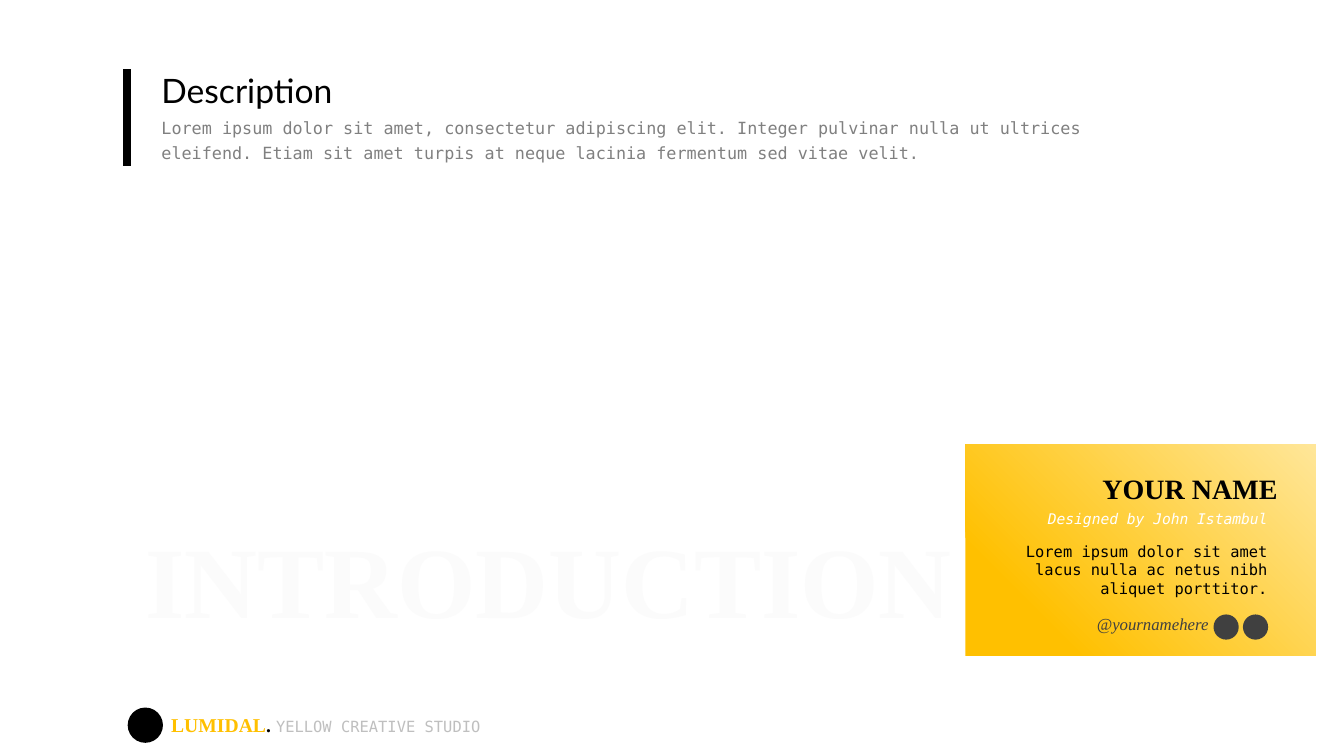
from lxml import etree
from pptx import Presentation
from pptx.dml.color import RGBColor
from pptx.enum.shapes import MSO_CONNECTOR, MSO_SHAPE
from pptx.enum.text import MSO_ANCHOR, MSO_AUTO_SIZE, PP_ALIGN
from pptx.oxml.ns import qn
from pptx.util import Pt

TITLE_ONLY = 5
LEFT, RIGHT = PP_ALIGN.LEFT, PP_ALIGN.RIGHT
TOP, MIDDLE = MSO_ANCHOR.TOP, MSO_ANCHOR.MIDDLE
NO_AUTOFIT = MSO_AUTO_SIZE.NONE
RECTANGLE, OVAL = MSO_SHAPE.RECTANGLE, MSO_SHAPE.OVAL
STRAIGHT = MSO_CONNECTOR.STRAIGHT

SANS, MONO, SERIF = "Lato", "DejaVu Sans Mono", "Times New Roman"
BLACK, WHITE, YELLOW, PALE_YELLOW = "000000", "FFFFFF", "FFC000", "FFE699"
DARK, GREY, SILVER, FAINT = "404040", "808080", "BFBFBF", "FBFBFB"


def color(hex_string):
    return RGBColor.from_string(hex_string)


def write(shape, runs, align=LEFT, anchor=TOP, spacing=1.0, inset=(0, 0)):
    """Fill a shape with one paragraph of (text, font, size, colour, bold, italic) runs."""
    frame = shape.text_frame
    frame.word_wrap = True
    frame.auto_size = NO_AUTOFIT
    frame.vertical_anchor = anchor
    frame.margin_left = frame.margin_right = Pt(inset[0])
    frame.margin_top = frame.margin_bottom = Pt(inset[1])
    paragraph = frame.paragraphs[0]
    paragraph.alignment = align
    paragraph.line_spacing = spacing
    paragraph.space_before = Pt(0)
    for text, font, size, hex_string, bold, italic in runs:
        run = paragraph.add_run()
        run.text = text
        run.font.name = font
        run.font.size = Pt(size)
        run.font.color.rgb = color(hex_string)
        run.font.bold = bold
        run.font.italic = italic


def add_text(slide, left, top, width, height, runs, **options):
    box = slide.shapes.add_textbox(Pt(left), Pt(top), Pt(width), Pt(height))
    write(box, runs, **options)


def add_plain_shape(slide, kind, left, top, width, height, fill):
    shape = slide.shapes.add_shape(kind, Pt(left), Pt(top), Pt(width), Pt(height))
    shape.shadow.inherit = False
    shape.line.fill.background()
    shape.fill.solid()
    shape.fill.fore_color.rgb = color(fill)
    return shape


def add_description(slide, left, top, width, height):
    rule = slide.shapes.add_connector(STRAIGHT, Pt(left), Pt(top), Pt(left), Pt(top + height))
    rule.line.color.rgb = color(BLACK)
    rule.line.width = Pt(6)
    etree.SubElement(rule._element.spPr, qn("a:effectLst"))

    text_left, text_width = left + 24.5, width - 24.5
    title = slide.shapes.title
    title.left, title.top = Pt(text_left), Pt(top - 5.5)
    title.width, title.height = Pt(text_width), Pt(35)
    write(title, [("Description", SANS, 24, BLACK, False, False)], spacing=1.2)
    body = ("Lorem ipsum dolor sit amet, consectetur adipiscing elit. Integer pulvinar "
            "nulla ut ultrices eleifend. Etiam sit amet turpis at neque lacinia "
            "fermentum sed vitae velit.")
    add_text(slide, text_left, top + 32, text_width, 36,
             [(body, MONO, 12, GREY, False, False)], spacing=1.2)


def add_background_word(slide, left, top, width, height):
    add_text(slide, left, top, width, height,
             [("INTRODUCTION", SERIF, 72, FAINT, True, False)])


def add_name_card(slide, left, top, width, height):
    card = add_plain_shape(slide, RECTANGLE, left, top, width, height, YELLOW)
    card.fill.gradient()
    card.fill.gradient_angle = 45
    stops = zip(card.fill.gradient_stops, ((0.2, YELLOW), (1, PALE_YELLOW)))
    for stop, (position, hex_string) in stops:
        stop.position = position
        stop.color.rgb = color(hex_string)

    column, column_width = left + 24.5, 198.7
    padding = (7.2, 3.6)
    add_text(slide, column, top + 66.2, column_width, 47.5,
             [("Lorem ipsum dolor sit amet lacus nulla ac netus nibh aliquet porttitor.",
               MONO, 11, BLACK, False, False)], align=RIGHT, inset=padding)
    add_text(slide, column, top + 19.5, column_width, 24.5,
             [("YOUR NAME", SERIF, 20, BLACK, True, False)], align=RIGHT, anchor=MIDDLE)
    add_text(slide, column, top + 36.7, column_width, 26.6,
             [("Designed by John Istambul", MONO, 10.5, WHITE, False, True)],
             align=RIGHT, spacing=1.5, inset=padding)
    add_text(slide, left + 70, top + 117.4, 111, 21.6,
             [("@yournamehere", SERIF, 12, DARK, False, True)], align=RIGHT, inset=padding)
    for icon in range(2):
        add_plain_shape(slide, OVAL, left + 177.3 + 21 * icon, top + 121.6, 18, 18, DARK)


def add_footer(slide, left, top, width, height):
    add_plain_shape(slide, OVAL, left, top, 25.2, 25.2, BLACK)
    add_text(slide, left + 24, top, width - 24, height,
             [("LUMIDAL", SERIF, 14, YELLOW, True, False),
              (". ", SERIF, 14, BLACK, True, False),
              ("YELLOW CREATIVE STUDIO", MONO, 11, SILVER, False, False)],
             inset=(7.2, 3.6))


def main():
    presentation = Presentation()
    presentation.slide_width, presentation.slide_height = Pt(960), Pt(540)
    slide = presentation.slides.add_slide(presentation.slide_layouts[TITLE_ONLY])
    add_background_word(slide, 104, 370, 590, 83)
    add_description(slide, 90.8, 49.5, 732.5, 69)
    add_name_card(slide, 689.5, 317.3, 250.5, 151.2)
    add_footer(slide, 91.2, 505.4, 282, 24.5)
    presentation.save("out.pptx")


if __name__ == "__main__":
    main()
